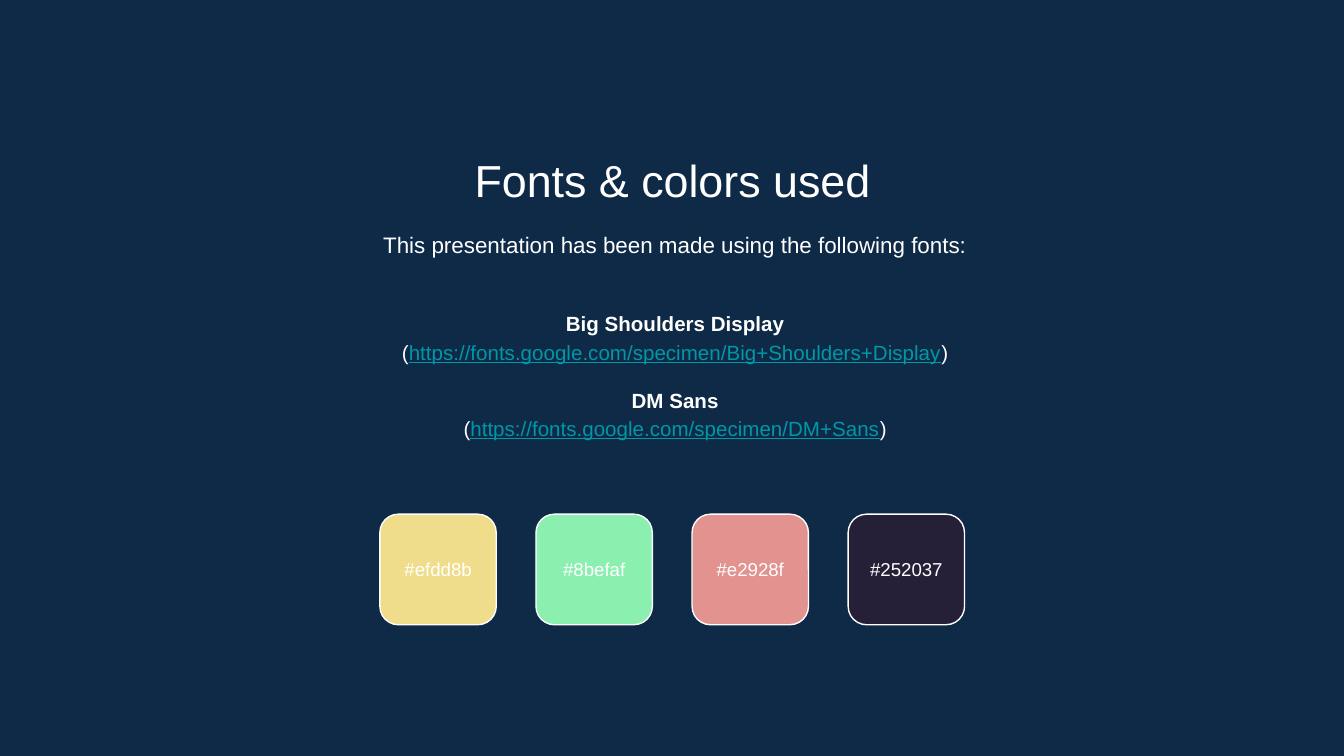
import pptx
import pptx.util
import pptx.dml.color
import pptx.enum.shapes
import pptx.enum.text
import pptx.oxml.ns
import lxml.etree

Cm = pptx.util.Cm
Pt = pptx.util.Pt
ANCHOR = pptx.enum.text.MSO_ANCHOR
WHITE = "FFFFFF"
LINK = "0097A7"


def color(hex_string):
    return pptx.dml.color.RGBColor.from_string(hex_string)


def format_text(frame, size, anchor, line_spacing, margin):
    """Centre the text of a frame in white Arial without bullets."""
    frame.word_wrap = True
    frame.auto_size = pptx.enum.text.MSO_AUTO_SIZE.NONE
    frame.vertical_anchor = anchor
    frame.margin_left = frame.margin_right = margin
    frame.margin_top = frame.margin_bottom = margin
    for paragraph in frame.paragraphs:
        properties = paragraph._p.get_or_add_pPr()
        properties.set("marL", "0")
        properties.set("indent", "0")
        lxml.etree.SubElement(properties, pptx.oxml.ns.qn("a:buNone"))
        paragraph.alignment = pptx.enum.text.PP_ALIGN.CENTER
        paragraph.line_spacing = line_spacing
        paragraph.space_before = Pt(0)
        for run in paragraph.runs:
            run.font.name = "Arial"
            run.font.size = Pt(size)
            run.font.color.rgb = color(WHITE)


presentation = pptx.Presentation()
presentation.slide_width = Cm(25.4)
presentation.slide_height = Cm(14.29)
slide = presentation.slides.add_slide(presentation.slide_layouts[3])
slide.background.fill.solid()
slide.background.fill.fore_color.rgb = color("0E2A47")
title, intro, fonts = slide.placeholders

# Title
title.left, title.top, title.width, title.height = Cm(2.92), Cm(2.64), Cm(19.58), Cm(1.35)
title.text_frame.text = "Fonts & colors used"
format_text(title.text_frame, 24, ANCHOR.TOP, 1.0, Cm(0.25))

# Introduction
intro.left, intro.top, intro.width, intro.height = Cm(2.97), Cm(4.04), Cm(19.58), Cm(1.22)
intro.text_frame.text = "This presentation has been made using the following fonts:"
format_text(intro.text_frame, 12, ANCHOR.TOP, 1.15, Cm(0.25))

# Font names, each followed by its address
fonts.left, fonts.top, fonts.width, fonts.height = Cm(2.97), Cm(5.33), Cm(19.58), Cm(3.48)
font_list = fonts.text_frame
font_sources = [
    ("Big Shoulders Display", "https://fonts.google.com/specimen/Big+Shoulders+Display"),
    ("DM Sans", "https://fonts.google.com/specimen/DM+Sans"),
]
font_list.text = "\n".join(name + "\n" for name, address in font_sources).rstrip("\n") + "\n"
for (name, address), paragraph in zip(font_sources, font_list.paragraphs[1::2]):
    for part in ("(", address, ")"):
        paragraph.add_run().text = part
format_text(font_list, 11, ANCHOR.MIDDLE, 1.15, Cm(0.25))
for paragraph in font_list.paragraphs[::2]:
    paragraph.runs[0].font.bold = True
for paragraph in font_list.paragraphs[1::2]:
    address_font = paragraph.runs[1].font
    address_font.color.rgb = color(LINK)
    address_font.underline = True
font_list.paragraphs[2].space_before = Pt(10.6)

# Color swatches
for column, swatch_color in enumerate(["efdd8b", "8befaf", "e2928f", "252037"]):
    swatch = slide.shapes.add_shape(
        pptx.enum.shapes.MSO_SHAPE.ROUNDED_RECTANGLE,
        Cm(7.18 + 2.95 * column), Cm(9.72), Cm(2.2), Cm(2.09))
    swatch.shadow.inherit = False
    swatch.fill.solid()
    swatch.fill.fore_color.rgb = color(swatch_color)
    swatch.line.color.rgb = color(WHITE)
    swatch.line.width = Pt(0.75)
    swatch.text_frame.text = "#" + swatch_color
    format_text(swatch.text_frame, 10, ANCHOR.MIDDLE, 1.0, Cm(0))

presentation.save("out.pptx")
